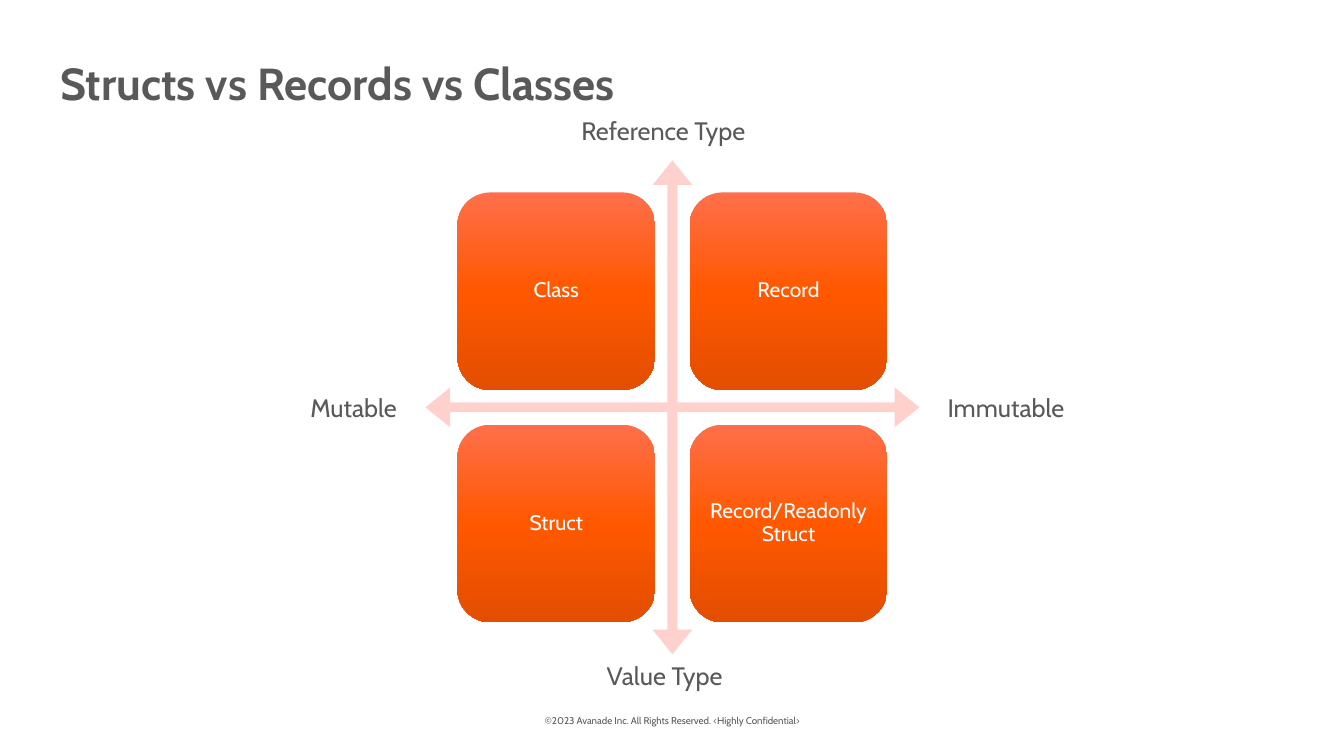
from copy import deepcopy
from itertools import product

from pptx import Presentation
from pptx.dml.color import RGBColor
from pptx.enum.shapes import MSO_SHAPE as Shape
from pptx.enum.text import MSO_ANCHOR as Anchor, MSO_AUTO_SIZE as AutoSize, PP_ALIGN as Align
from pptx.util import Cm, Pt

FONT = "Cabin"
GREY = RGBColor(0x59, 0x59, 0x59)
WHITE = RGBColor(0xFF, 0xFF, 0xFF)
PINK = RGBColor(0xFF, 0xD1, 0xCC)
TILE_STOPS = [
    (0, RGBColor(0xFF, 0x6F, 0x4B)),
    (0.5, RGBColor(0xFF, 0x58, 0x00)),
    (1, RGBColor(0xE3, 0x4E, 0x00)),
]
TITLE_BOX = (Cm(1.27), Cm(1.27), Cm(31.12), Cm(1.68))
MATRIX_BOX = (Cm(10.72), Cm(4.04), Cm(12.45))
FOOTER_BOX = (Cm(11.23), Cm(17.65), Cm(11.43), Cm(1.02))
TYPES = ["Class", "Record", "Struct", "Record/Readonly Struct"]
AXIS_LABELS = [
    ("Immutable", Cm(12.91), Cm(5.71), Cm(3.56)),
    ("Mutable", Cm(-3.15), Cm(5.71), Cm(2.87)),
    ("Reference Type", Cm(3.68), Cm(-1.25), Cm(4.78)),
    ("Value Type", Cm(4.32), Cm(12.47), Cm(3.53)),
]


def write(frame, text, size, color=GREY, align=Align.LEFT, bold=False):
    """Put one formatted paragraph into a text frame."""
    frame.text = text
    para = frame.paragraphs[0]
    para.alignment = align
    font = para.runs[0].font
    font.name, font.size, font.bold = FONT, Pt(size), bold
    font.color.rgb = color


def add_title(page, left, top, width, height):
    """Place and format the title placeholder."""
    title = page.shapes.title
    title.left, title.top, title.width, title.height = left, top, width, height
    title.text_frame.vertical_anchor = Anchor.TOP
    write(title.text_frame, "Structs vs Records vs Classes", 32, bold=True)


def fill_gradient(fill):
    """Fill with the orange gradient from top to bottom."""
    fill.gradient()
    fill.gradient_angle = 270
    stop_list = fill._fill._gradFill.gsLst
    stop_list.append(deepcopy(stop_list[-1]))
    for stop, (position, color) in zip(fill.gradient_stops, TILE_STOPS):
        stop.position = position
        stop.color.rgb = color


def add_tile(page, name, left, top, side):
    """Draw one rounded tile with its type name."""
    tile = page.shapes.add_shape(Shape.ROUNDED_RECTANGLE, left, top, side, side)
    tile.shadow.inherit = False
    tile.line.fill.background()
    fill_gradient(tile.fill)
    frame = tile.text_frame
    frame.word_wrap = True
    frame.vertical_anchor = Anchor.MIDDLE
    frame.margin_left = frame.margin_right = Cm(0.16)
    frame.margin_top = frame.margin_bottom = Cm(0.16)
    write(frame, name, 15, WHITE, Align.CENTER)
    frame.paragraphs[0].line_spacing = 0.9


def add_matrix(page, left, top, side):
    """Draw the crossed arrows, the four tiles and the axis labels."""
    cross = page.shapes.add_shape(Shape.QUAD_ARROW, left, top, side, side)
    cross.shadow.inherit = False
    cross.fill.solid()
    cross.fill.fore_color.rgb = PINK
    cross.line.fill.background()
    for index, value in enumerate((0.02, 0.04, 0.05)):
        cross.adjustments[index] = value

    offsets = [int(side * share) for share in (0.065, 0.535)]
    for name, (down, across) in zip(TYPES, product(offsets, repeat=2)):
        add_tile(page, name, left + across, top + down, int(side * 0.4))

    for text, across, down, width in AXIS_LABELS:
        label = page.shapes.add_textbox(left + across, top + down, width, Cm(1.02))
        label.text_frame.word_wrap = False
        label.text_frame.auto_size = AutoSize.SHAPE_TO_FIT_TEXT
        write(label.text_frame, text, 18)


def add_footer(page, left, top, width, height):
    """Write the copyright line."""
    frame = page.shapes.add_textbox(left, top, width, height).text_frame
    frame.word_wrap = True
    frame.vertical_anchor = Anchor.MIDDLE
    text = "©2023 Avanade Inc. All Rights Reserved. <Highly Confidential>"
    write(frame, text, 7, align=Align.CENTER)


def main():
    """Build and save the deck."""
    deck = Presentation()
    deck.slide_width, deck.slide_height = Cm(33.87), Cm(19.05)
    page = deck.slides.add_slide(deck.slide_layouts[5])
    add_footer(page, *FOOTER_BOX)
    add_matrix(page, *MATRIX_BOX)
    add_title(page, *TITLE_BOX)
    deck.save("out.pptx")


if __name__ == "__main__":
    main()
